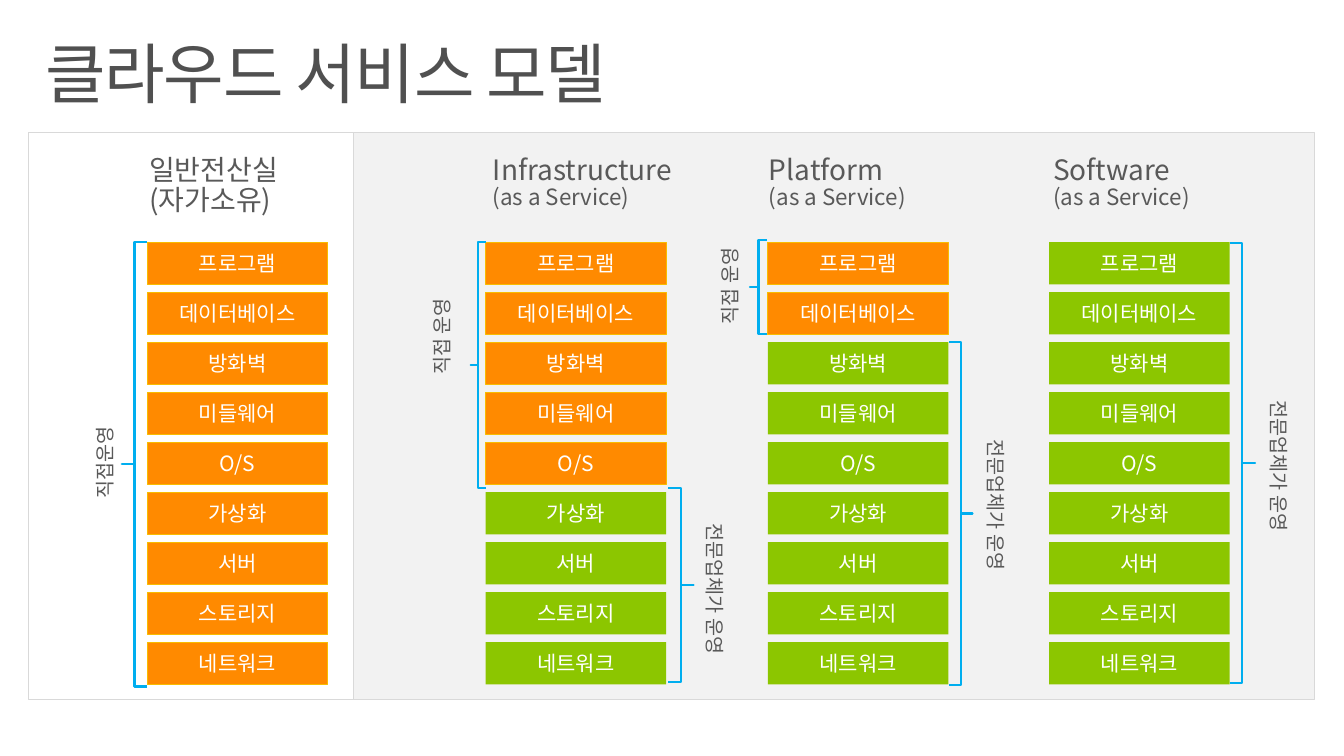
from pptx import Presentation
from pptx.dml.color import RGBColor
from pptx.enum.shapes import MSO_SHAPE
from pptx.enum.text import MSO_ANCHOR, PP_ALIGN
from pptx.oxml.ns import qn
from pptx.util import Cm, Pt

FONT = "Noto Sans CJK KR"
GREY, WHITE, BORDER = "595959", "FFFFFF", "D9D9D9"
ORANGE, AMBER, GREEN, BLUE = "FF8A00", "F9BC00", "8CC600", "00AEEF"


def add_box(kind, place, fill=None, line=None, width=0.75):
    box = page.shapes.add_shape(kind, *[Cm(length) for length in place])
    box.shadow.inherit = False
    for part, color in ((box.fill, fill), (box.line.fill, line)):
        if color:
            part.solid()
            part.fore_color.rgb = RGBColor.from_string(color)
        else:
            part.background()
    if line:
        box.line.width = Pt(width)
    return box


def write(box, lines, color, spacing=None, align=PP_ALIGN.LEFT, **frame_format):
    frame = box.text_frame
    for name, value in frame_format.items():
        setattr(frame, name, value)
    for index, (text, size) in enumerate(lines):
        para = frame.add_paragraph() if index else frame.paragraphs[0]
        para.alignment = align
        para.line_spacing = spacing
        span = para.add_run()
        span.text = text
        for name, value in {"name": FONT, "size": Pt(size)}.items():
            setattr(span.font, name, value)
        span.font.color.rgb = RGBColor.from_string(color)
        east_asian = span.font._element.makeelement(qn("a:ea"), {"typeface": FONT})
        span.font._element.append(east_asian)


deck = Presentation()
deck.slide_width, deck.slide_height = Cm(33.87), Cm(19.05)
page = deck.slides.add_slide(deck.slide_layouts[6])

add_box(MSO_SHAPE.RECTANGLE, (8.92, 3.35, 24.21, 14.27), "F2F2F2", BORDER)
add_box(MSO_SHAPE.RECTANGLE, (0.71, 3.35, 8.2, 14.27), None, BORDER)

title = page.shapes.add_textbox(Cm(0.74), Cm(0.81), Cm(32.39), Cm(2.49))
write(title, [("클라우드 서비스 모델", 47)], "505050", 0.9, word_wrap=True,
      margin_left=Cm(0.41), margin_right=Cm(0.41),
      margin_top=Cm(0.25), margin_bottom=Cm(0.25))
title.text_frame.paragraphs[0].runs[0].font._element.set("spc", "-100")

layers = ["프로그램", "데이터베이스", "방화벽", "미들웨어", "O/S",
          "가상화", "서버", "스토리지", "네트워크"]
service = ("(as a Service)", 16)
models = [
    (3.71, 9, 3.76, 0, [("일반전산실", 20), ("(자가소유)", 20)]),
    (12.24, 5, 12.17, 0.25, [("Infrastructure", 20), service]),
    (19.35, 2, 19.13, 0.25, [("Platform", 20), service]),
    (26.44, 0, 26.29, 0.25, [("Software", 20), service]),
]
for left, own_count, head_left, inset, heading in models:
    head = page.shapes.add_textbox(Cm(head_left), Cm(3.94), Cm(5.6), Cm(1.78))
    write(head, heading, GREY, 0.9, word_wrap=True, margin_left=Cm(inset),
          margin_right=Cm(inset), margin_top=0, margin_bottom=0)
    for row, layer in enumerate(layers):
        fill, line = (ORANGE, AMBER) if row < own_count else (GREEN, None)
        box = add_box(MSO_SHAPE.RECTANGLE, (left, 6.1 + 1.26 * row, 4.55, 1.07), fill, line)
        write(box, [(layer, 15)], WHITE, align=PP_ALIGN.CENTER, word_wrap=True,
              vertical_anchor=MSO_ANCHOR.MIDDLE, margin_left=0, margin_right=0)

managed = "전문업체가 운영"
braces = [
    ((3.07, 6.1, 0.64, 11.2), False, "직접운영", (2.21, 10.62, 1.12, 2.06)),
    ((11.86, 6.1, 0.38, 6.2), False, "직접 운영", (10.72, 7.37, 1.12, 2.21)),
    ((18.9, 6.05, 0.43, 2.36), False, "직접 운영", (17.96, 6.1, 1.12, 2.21)),
    ((16.84, 12.29, 0.64, 4.9), True, managed, (17.32, 13.06, 1.12, 3.56)),
    ((23.93, 8.61, 0.58, 8.66), True, managed, (24.41, 10.95, 1.12, 3.56)),
    ((30.99, 6.12, 0.64, 11.1), True, managed, (31.55, 9.96, 1.12, 3.56)),
]
for place, on_right, text, label_place in braces:
    brace = add_box(MSO_SHAPE.LEFT_BRACE, place, None, BLUE, 1.5)
    brace.adjustments[0], brace.adjustments[1] = 0, 0.5
    if on_right:
        brace._element.spPr.find(qn("a:xfrm")).set("flipH", "1")
    label = page.shapes.add_textbox(*[Cm(length) for length in label_place])
    write(label, [(text, 14)], GREY, align=PP_ALIGN.CENTER, word_wrap=False)
    label.text_frame._txBody.bodyPr.set("vert", "vert" if on_right else "vert270")

deck.save("out.pptx")
